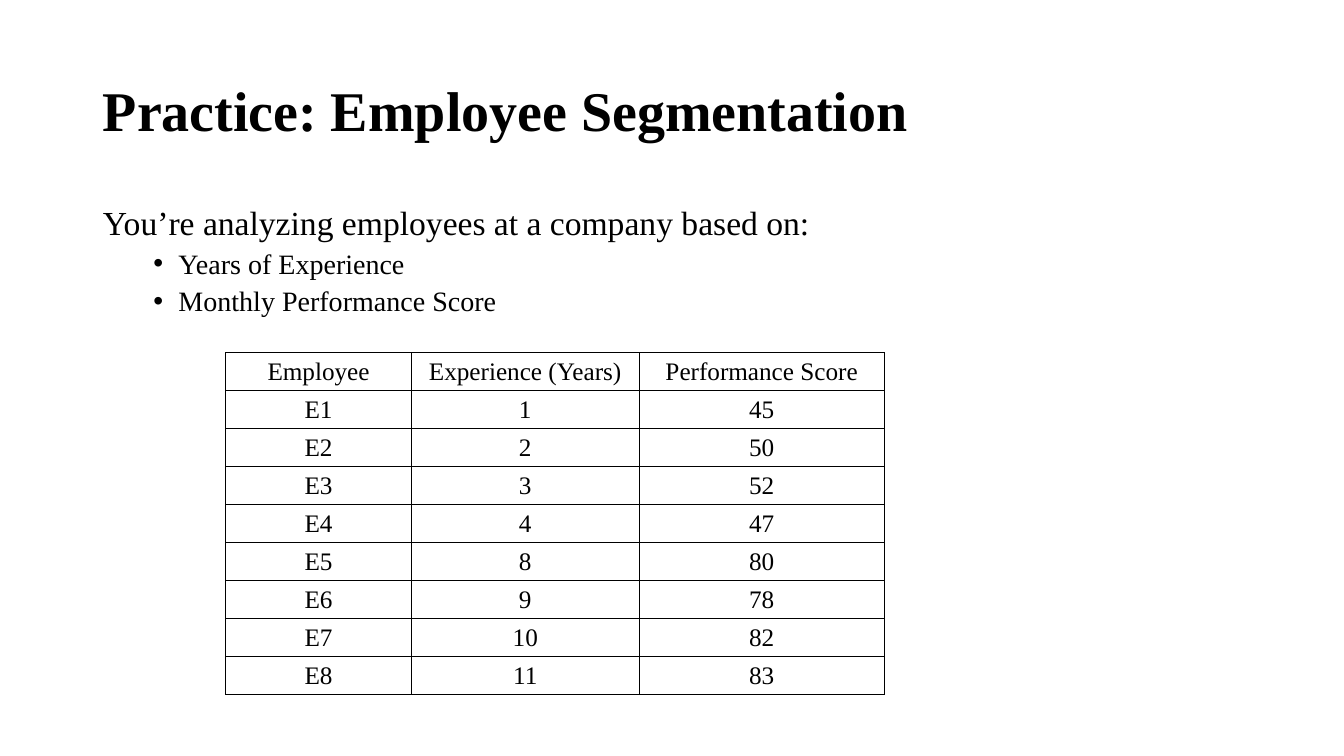
from pptx import Presentation
from pptx.dml.color import RGBColor
from pptx.enum.text import MSO_ANCHOR, MSO_AUTO_SIZE, PP_ALIGN
from pptx.oxml.ns import qn
from pptx.util import Inches, Pt
from lxml.etree import SubElement

INK = "000000"


def style(para, size, align, bold=False):
    para.alignment = align
    font = para.font
    font.name = "Times New Roman"
    font.size = Pt(size)
    font.bold = bold
    font.color.rgb = RGBColor.from_string(INK)


def border(cell):
    """Draw a one-point line on all four sides of the cell."""
    props = cell._tc.get_or_add_tcPr()
    for side in ("lnL", "lnR", "lnT", "lnB"):
        line = SubElement(props, qn(f"a:{side}"), w=str(Pt(1)))
        fill = SubElement(line, qn("a:solidFill"))
        SubElement(fill, qn("a:srgbClr"), val=INK)


prs = Presentation()
prs.slide_width = Inches(13.33)
prs.slide_height = Inches(7.5)
slide = prs.slides.add_slide(prs.slide_layouts[1])

# Title and list
title, body = slide.shapes.title, slide.placeholders[1]
for holder, top, height, anchor in (
    (title, 0.4, 1.45, MSO_ANCHOR.MIDDLE),
    (body, 2, 4.76, MSO_ANCHOR.TOP),
):
    holder.left, holder.top = Inches(0.92), Inches(top)
    holder.width, holder.height = Inches(11.5), Inches(height)
    holder.text_frame.auto_size = MSO_AUTO_SIZE.NONE
    holder.text_frame.vertical_anchor = anchor

title.text_frame.text = "Practice: Employee Segmentation"
head = title.text_frame.paragraphs[0]
head.line_spacing = 0.9
style(head, 40, PP_ALIGN.LEFT, bold=True)

points = [
    ("You’re analyzing employees at a company based on:", 0),
    ("Years of Experience", 1),
    ("Monthly Performance Score", 1),
]
body.text_frame.text = "\n".join(text for text, level in points)
for para, (text, level) in zip(body.text_frame.paragraphs, points):
    para.level = level
    para.line_spacing = 0.9
    para.space_before = Pt(5 * level)
    props = para._p.get_or_add_pPr()
    props.set("marL", str(Inches(0.75 * level)))
    props.set("indent", str(Inches(-0.25 * level)))
    if level:
        SubElement(props, qn("a:buFont"), typeface="Arial")
        SubElement(props, qn("a:buChar"), char="•")
    else:
        SubElement(props, qn("a:buNone"))
    style(para, 20 if level else 24, PP_ALIGN.LEFT)

# Employee table
rows = [
    ("Employee", "Experience (Years)", "Performance Score"),
    ("E1", 1, 45),
    ("E2", 2, 50),
    ("E3", 3, 52),
    ("E4", 4, 47),
    ("E5", 8, 80),
    ("E6", 9, 78),
    ("E7", 10, 82),
    ("E8", 11, 83),
]
widths = (1.84, 2.26, 2.43)
step = 0.377
table = slide.shapes.add_table(
    len(rows), len(widths), Inches(2.24), Inches(3.5),
    Inches(sum(widths)), Inches(step * len(rows)),
).table
table.first_row = table.horz_banding = False
for col, width in zip(table.columns, widths):
    col.width = Inches(width)
for r, row in enumerate(rows):
    table.rows[r].height = Inches(step)
    for c, value in enumerate(row):
        cell = table.cell(r, c)
        cell.text = str(value)
        cell.vertical_anchor = MSO_ANCHOR.MIDDLE
        cell.margin_top = cell.margin_bottom = 0
        border(cell)
        cell.fill.background()
        style(cell.text_frame.paragraphs[0], 18, PP_ALIGN.CENTER)

prs.save("out.pptx")
